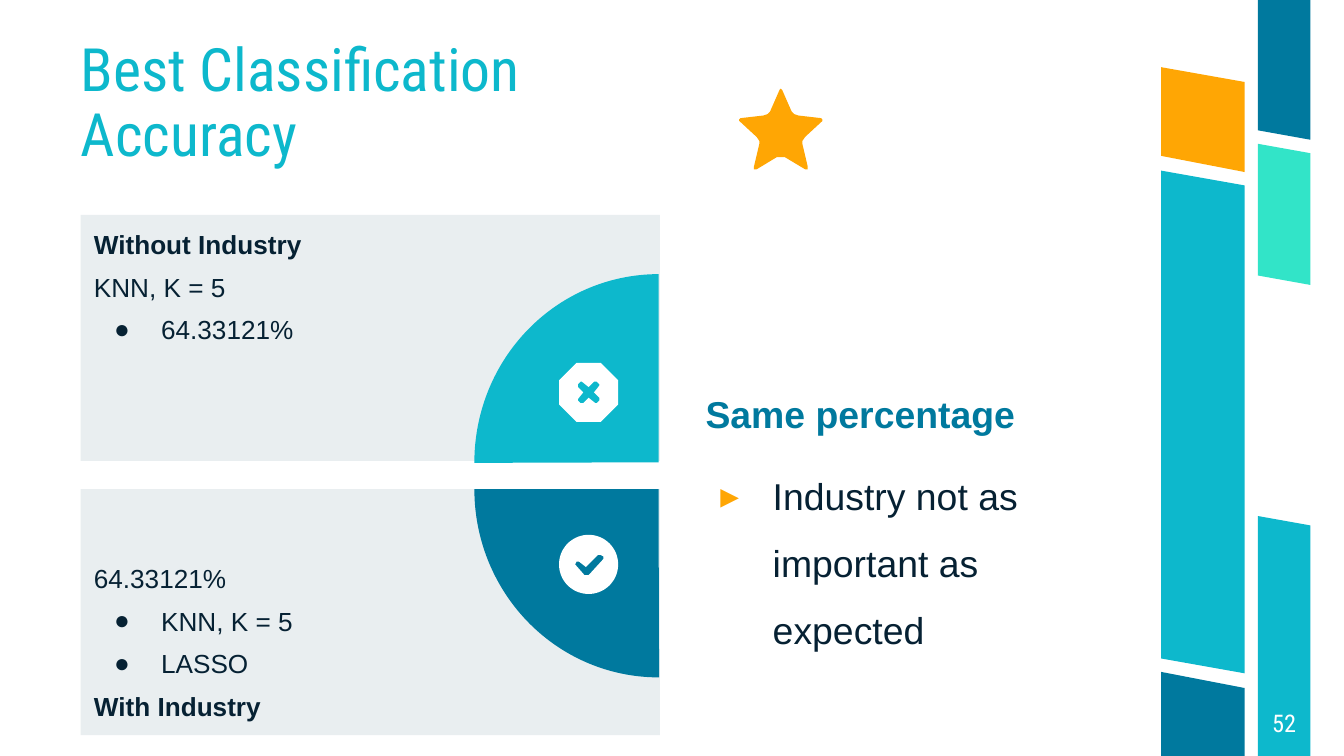
from math import cos, pi, sin
from lxml.etree import SubElement
from pptx import Presentation
from pptx.dml.color import RGBColor
from pptx.enum.shapes import MSO_SHAPE
from pptx.enum.text import MSO_ANCHOR, PP_ALIGN
from pptx.oxml.ns import qn
from pptx.util import Inches, Pt

HUE = {"cyan": "0DB8CC", "mint": "32E4C8", "blue": "00799E", "gold": "FFA604",
       "gray": "E9EEF0", "ink": "062133", "white": "FFFFFF"}


def write(frame, text, size=14, font="Arial", color="ink", bold=False,
          align=PP_ALIGN.LEFT, lead=None, before=0, after=0,
          mark=None, tint="ink", hang=0.35):
    para = frame.add_paragraph() if frame.text else frame.paragraphs[0]
    para.alignment = align
    para.space_before, para.space_after = Pt(before), Pt(after)
    if lead:
        para.line_spacing = lead
    run = para.add_run()
    run.text = text
    run.font.size, run.font.name, run.font.bold = Pt(size), font, bold
    run.font.color.rgb = RGBColor.from_string(HUE[color])
    if mark:
        props = para._p.get_or_add_pPr()
        props.set("marL", str(Inches(0.5)))
        props.set("indent", str(-Inches(hang)))
        SubElement(SubElement(props, qn("a:buClr")), qn("a:srgbClr"), val=HUE[tint])
        SubElement(props, qn("a:buFont"), typeface="Arial")
        SubElement(props, qn("a:buChar"), char=mark)


def paint(shape, color):
    shape.shadow.inherit = False
    shape.fill.solid()
    shape.fill.fore_color.rgb = RGBColor.from_string(HUE[color])
    shape.line.fill.background()


wide, high = 10, 10 * 9 / 16
deck = Presentation()
deck.slide_width, deck.slide_height = Inches(wide), Inches(high)
slide = deck.slides.add_slide(deck.slide_layouts[6])
shapes = slide.shapes

bars = [
    ("cyan", 9.36, 9.75, 3.84, 3.91, high, high),
    ("mint", 9.36, 9.75, 1.07, 1.14, 2.12, 2.05),
    ("blue", 9.36, 9.75, 0, 0, 1.04, 0.97),
    ("gold", 8.64, 9.26, 0.5, 0.61, 1.28, 1.16),
    ("blue", 8.64, 9.26, 5, 5.12, high, high),
    ("cyan", 8.64, 9.26, 1.27, 1.38, 5.01, 4.9),
]
plans = [(color, [list(zip((left, right, right, left), tops))])
         for color, left, right, *tops in bars]

ring = [(4.38 + 0.22 * cos(k * pi / 36), 4.2 + 0.22 * sin(k * pi / 36))
        for k in range(72)]
check = [(4.28, 4.2), (4.29, 4.18), (4.31, 4.18), (4.36, 4.22), (4.45, 4.13),
         (4.47, 4.13), (4.49, 4.14), (4.49, 4.16), (4.38, 4.28), (4.35, 4.28)]
plans.append(("white", [ring, check]))

stop = []
for part in ([(0.09, -0.22), (0.22, -0.09)],
             [(0, -0.04), (0.04, -0.08), (0.06, -0.08), (0.08, -0.06), (0.08, -0.05)]):
    turns = []
    for turn in range(4):
        turns += [(4.38 + x, 2.92 + y) for x, y in part]
        part = [(-y, x) for x, y in part]
    stop.append(turns)
plans.append(("white", stop))

half = [(5.81, 0.66), (5.82, 0.67), (5.89, 0.83), (5.91, 0.85), (5.94, 0.86),
        (6.11, 0.88), (6.12, 0.89), (6.12, 0.9), (5.99, 1.02), (5.97, 1.05),
        (5.97, 1.07), (6.01, 1.24), (6.01, 1.26), (5.99, 1.26), (5.84, 1.17),
        (5.81, 1.17)]
star = half + [(11.62 - x, y) for x, y in half[-2:0:-1]]
plans.append(("gold", [star]))

panels = []
for top, anchor in ((1.6, MSO_ANCHOR.TOP), (3.64, MSO_ANCHOR.BOTTOM)):
    panel = shapes.add_shape(MSO_SHAPE.RECTANGLE, Inches(0.6), Inches(top),
                             Inches(4.31), Inches(1.83))
    paint(panel, "gray")
    frame = panel.text_frame
    frame.word_wrap, frame.vertical_anchor = True, anchor
    frame.margin_left = frame.margin_top = frame.margin_bottom = Inches(0.1)
    frame.margin_right = Inches(1.5)
    panels.append(frame)
first, last = panels
write(first, "Without Industry", bold=True)
write(first, "KNN, K = 5", before=6)
write(first, "64.33121%", before=6, mark="●")
write(last, "64.33121%", before=6)
for name in ("KNN, K = 5", "LASSO"):
    write(last, name, before=6, mark="●")
write(last, "With Industry", bold=True, before=6, after=6)

for color, left, top, width, height, turn in (("cyan", 3.53, 2.04, 2.74, 2.8, 0),
                                              ("blue", 3.5, 2.27, 2.8, 2.74, 270)):
    pie = shapes.add_shape(MSO_SHAPE.PIE, Inches(left), Inches(top),
                           Inches(width), Inches(height))
    pie.adjustments[0], pie.adjustments[1] = 107.89, 162
    pie.rotation = turn
    paint(pie, color)

for color, rings in plans:
    spots = [[(Inches(x), Inches(y)) for x, y in loop] for loop in rings]
    build = shapes.build_freeform(*spots[0][0])
    build.add_line_segments(spots[0][1:], close=True)
    for loop in spots[1:]:
        build.move_to(*loop[0])
        build.add_line_segments(loop[1:], close=True)
    paint(build.convert_to_shape(), color)

frames = []
for left, top, width, height, anchor in (
        (0.6, 0.83, 4.65, 0.43, MSO_ANCHOR.BOTTOM),
        (9.36, 5.13, 0.39, 0.5, MSO_ANCHOR.MIDDLE),
        (5.25, 2.74, 2.96, 1.39, MSO_ANCHOR.TOP)):
    frame = shapes.add_textbox(Inches(left), Inches(top),
                               Inches(width), Inches(height)).text_frame
    frame.word_wrap, frame.vertical_anchor = True, anchor
    frame.margin_left = frame.margin_right = 0
    frame.margin_top = frame.margin_bottom = 0
    frames.append(frame)
title, page, body = frames
write(title, "Best Classification Accuracy", size=32, font="Roboto Condensed",
      color="cyan", lead=0.9)
write(page, "52", size=13, font="Roboto Condensed", color="white",
      align=PP_ALIGN.CENTER)
write(body, "Same percentage", size=20, color="blue", bold=True, lead=1.5)
write(body, "Industry not as important as expected", size=20, lead=1.5, before=8,
      mark="▸", tint="gold", hang=0.39)

deck.save("out.pptx")
